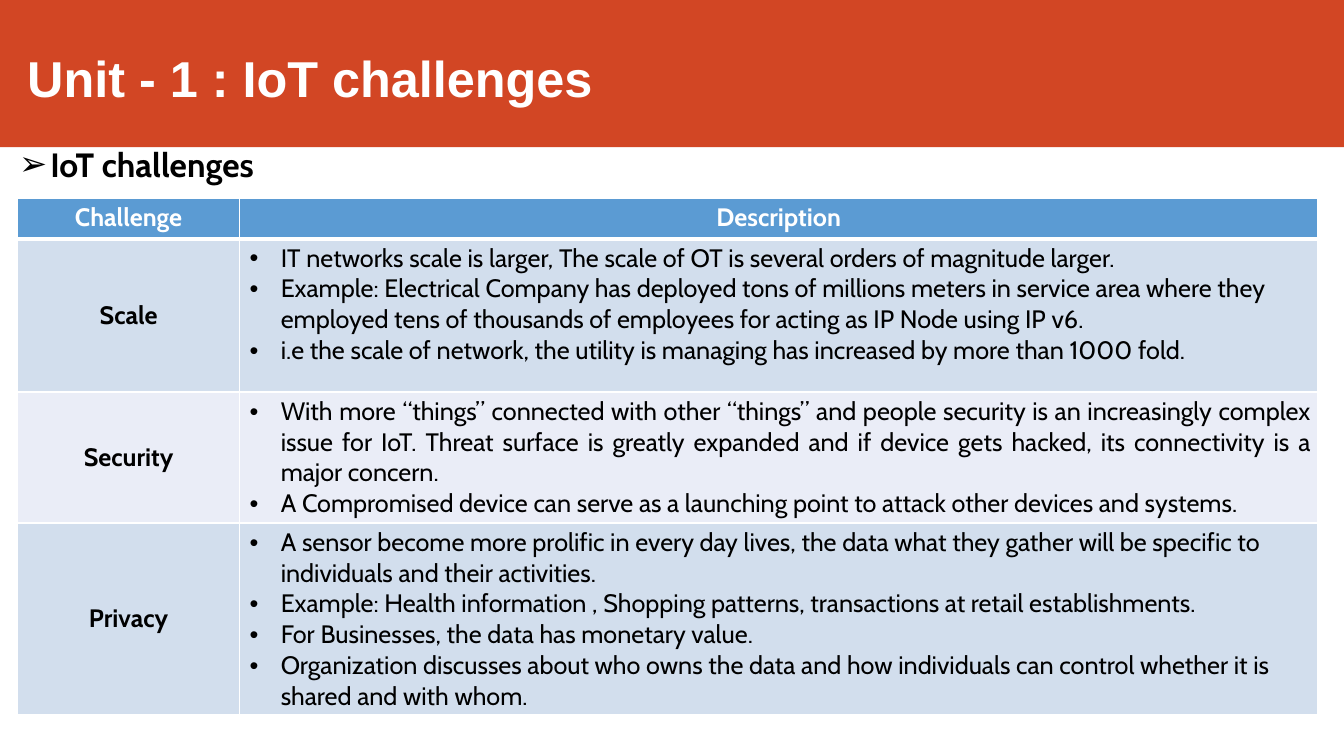
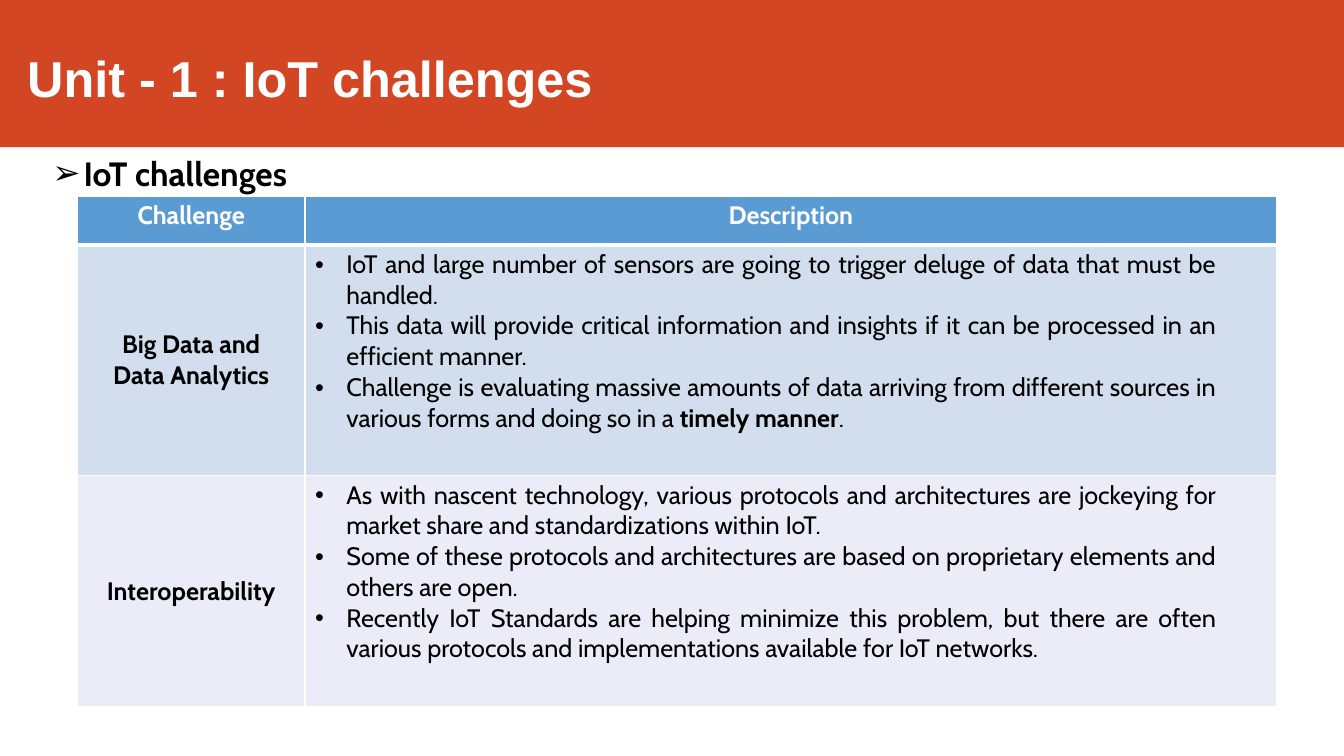
import lxml.etree
import pptx
import pptx.dml.color
import pptx.enum.shapes
import pptx.enum.text
import pptx.oxml.ns
import pptx.util

ALIGN = pptx.enum.text.PP_ALIGN
ANCHOR = pptx.enum.text.MSO_ANCHOR
WIDTH = pptx.util.Inches(13.33)
HEIGHT = pptx.util.Inches(7.5)
ORANGE, BLUE, WHITE, BLACK = "D24624", "5B9BD3", "FFFFFF", "000000"
STRIPES = ("D2DEED", "EAEDF7")
HEADINGS = ("Challenge", "Description")

SCALE = [
    "IT networks scale is larger, The scale of OT is several orders of magnitude larger.",
    "Example: Electrical Company has deployed tons of millions meters in service area where they "
    "employed tens of thousands of employees for acting as IP Node using IP v6.",
    "i.e the scale of network, the utility is managing has increased by more than 1000 fold.",
]
SECURITY = [
    "With more “things” connected with other “things” and people security is an increasingly "
    "complex issue for IoT. Threat surface is greatly expanded and if device gets hacked, its "
    "connectivity is a major concern.",
    "A Compromised device can serve as a launching point to attack other devices and systems.",
]
PRIVACY = [
    "A sensor become more prolific in every day lives, the data what they gather will be "
    "specific to individuals and their activities.",
    "Example: Health information , Shopping patterns, transactions at retail establishments.",
    "For Businesses, the data has monetary value.",
    "Organization discusses about who owns the data and how individuals can control whether "
    "it is shared and with whom.",
]
BIG_DATA = [
    "IoT and large number of sensors are going to trigger deluge of data that must be handled.",
    "This data will provide critical information and insights if it can be processed in an "
    "efficient manner.",
    "Challenge is evaluating massive amounts of data arriving from different sources in "
    "various forms and doing so in a **timely manner**.",
]
INTEROPERABILITY = [
    "As with nascent technology, various protocols and architectures are jockeying for "
    "market share and standardizations within IoT.",
    "Some of these protocols and architectures are based on proprietary elements and "
    "others are open.",
    "Recently IoT Standards are helping minimize this problem, but there are often "
    "various protocols and implementations available for IoT networks.",
]


def across(percent):
    """Return a percentage of the slide width."""
    return round(WIDTH * percent / 100)


def down(percent):
    """Return a percentage of the slide height."""
    return round(HEIGHT * percent / 100)


def color(code):
    """Turn a hex string into a colour."""
    return pptx.dml.color.RGBColor.from_string(code)


def add_element(parent, tag, **attributes):
    """Append a drawing element to a parent element."""
    return lxml.etree.SubElement(parent, pptx.oxml.ns.qn(tag), attributes)


def add_bullet(para, mark, indent):
    """Give a paragraph a hanging bullet, with the indent in inches."""
    properties = para._p.get_or_add_pPr()
    properties.set("marL", str(pptx.util.Inches(indent)))
    properties.set("indent", str(pptx.util.Inches(-0.31)))
    add_element(properties, "a:buFont", typeface="Arial")
    add_element(properties, "a:buChar", char=mark)


def write(frame, lines, size=18, font="Cabin", ink=BLACK, bold=False,
          align=ALIGN.LEFT, before=0, bullet=None, indent=0.41):
    """Write one paragraph per line; double asterisks enclose bold words."""
    frame.word_wrap = True
    for number, line in enumerate(lines):
        para = frame.add_paragraph() if number else frame.paragraphs[0]
        para.alignment = align
        para.space_before = pptx.util.Pt(before)
        if bullet:
            add_bullet(para, bullet, indent)
        for part, words in enumerate(line.split("**")):
            span = para.add_run()
            span.text = words
            span.font.size = pptx.util.Pt(size)
            span.font.name = font
            span.font.bold = bold or part % 2 == 1
            span.font.color.rgb = color(ink)


def set_margins(target, top=0.0, right=0.0):
    """Set the inner margins of a text frame or cell in inches."""
    target.margin_left = target.margin_bottom = 0
    target.margin_top = pptx.util.Inches(top)
    target.margin_right = pptx.util.Inches(right)


def add_text(page, left, top, width, height, text, **style):
    """Add a text box placed by shares of the slide."""
    box = page.shapes.add_textbox(across(left), down(top), across(width), down(height))
    set_margins(box.text_frame, top=0.01)
    write(box.text_frame, [text], **style)


def add_page(deck, title):
    """Add a blank page with the title band."""
    page = deck.slides.add_slide(deck.slide_layouts[6])
    band = page.shapes.add_shape(
        pptx.enum.shapes.MSO_SHAPE.RECTANGLE, 0, 0, WIDTH, down(19.47))
    band.shadow.inherit = False
    band.fill.solid()
    band.fill.fore_color.rgb = color(ORANGE)
    band.line.fill.background()
    add_text(page, 2.03, 6.13, 94.2, 8.4, title,
             size=36, font="Arial", ink=WHITE, bold=True, before=1)
    return page


def add_subheading(page, left, top, text):
    """Add the arrow-marked subheading."""
    add_text(page, left, top, 19.3, 5.73, text,
             size=24, bold=True, before=1, bullet="➢", indent=0.33)


def paint_cell(cell, fill, top_line=1, bottom_line=1):
    """Give a cell white borders and a fill."""
    properties = cell._tc.get_or_add_tcPr()
    sides = {"a:lnL": 1, "a:lnR": 1, "a:lnT": top_line, "a:lnB": bottom_line}
    for tag, points in sides.items():
        line = add_element(properties, tag, w=str(pptx.util.Pt(points)))
        add_element(add_element(line, "a:solidFill"), "a:srgbClr", val=WHITE)
    cell.fill.solid()
    cell.fill.fore_color.rgb = color(fill)


def add_challenges(page, left, top, columns, heights, rows, right=0.0):
    """Add a table of challenges; each row is a label, its points and their alignment."""
    table = page.shapes.add_table(
        len(heights), len(columns), across(left), down(top),
        across(sum(columns)), down(sum(heights))).table
    table.first_row = table.horz_banding = False
    for column, width in zip(table.columns, columns):
        column.width = across(width)
    for row, height in zip(table.rows, heights):
        row.height = down(height)
    for column, heading in enumerate(HEADINGS):
        cell = table.cell(0, column)
        set_margins(cell, top=0.04)
        paint_cell(cell, BLUE, bottom_line=3)
        write(cell.text_frame, [heading], ink=WHITE, bold=True, align=ALIGN.CENTER)
    for number, (label, points, align) in enumerate(rows, start=1):
        name, description = table.cell(number, 0), table.cell(number, 1)
        for cell in (name, description):
            paint_cell(cell, STRIPES[(number - 1) % 2], top_line=3 if number == 1 else 1)
        set_margins(name)
        name.vertical_anchor = ANCHOR.MIDDLE
        write(name.text_frame, label.split("\n"), bold=True, align=ALIGN.CENTER)
        set_margins(description, top=0.04, right=right)
        write(description.text_frame, points, align=align, bullet="•")


def main():
    """Build and save the deck."""
    deck = pptx.Presentation()
    deck.slide_width, deck.slide_height = WIDTH, HEIGHT
    title, subheading = "Unit - 1 : IoT challenges", "IoT challenges"

    page = add_page(deck, title)
    add_subheading(page, 1.28, 18.93, subheading)
    add_challenges(page, 1.32, 26.27, (16.5, 80.25), (5.33, 20.27, 17.33, 25.33), [
        ("Scale", SCALE, ALIGN.LEFT),
        ("Security", SECURITY, ALIGN.JUSTIFY),
        ("Privacy", PRIVACY, ALIGN.LEFT),
    ], right=0.07)

    page = add_page(deck, title)
    add_subheading(page, 3.75, 20.13, subheading)
    add_challenges(page, 5.75, 26, (16.95, 72.3), (6.4, 30.53, 30.53), [
        ("Big Data and\nData Analytics", BIG_DATA, ALIGN.JUSTIFY),
        ("Interoperability", INTEROPERABILITY, ALIGN.JUSTIFY),
    ], right=0.6)

    deck.save("out.pptx")


if __name__ == "__main__":
    main()
